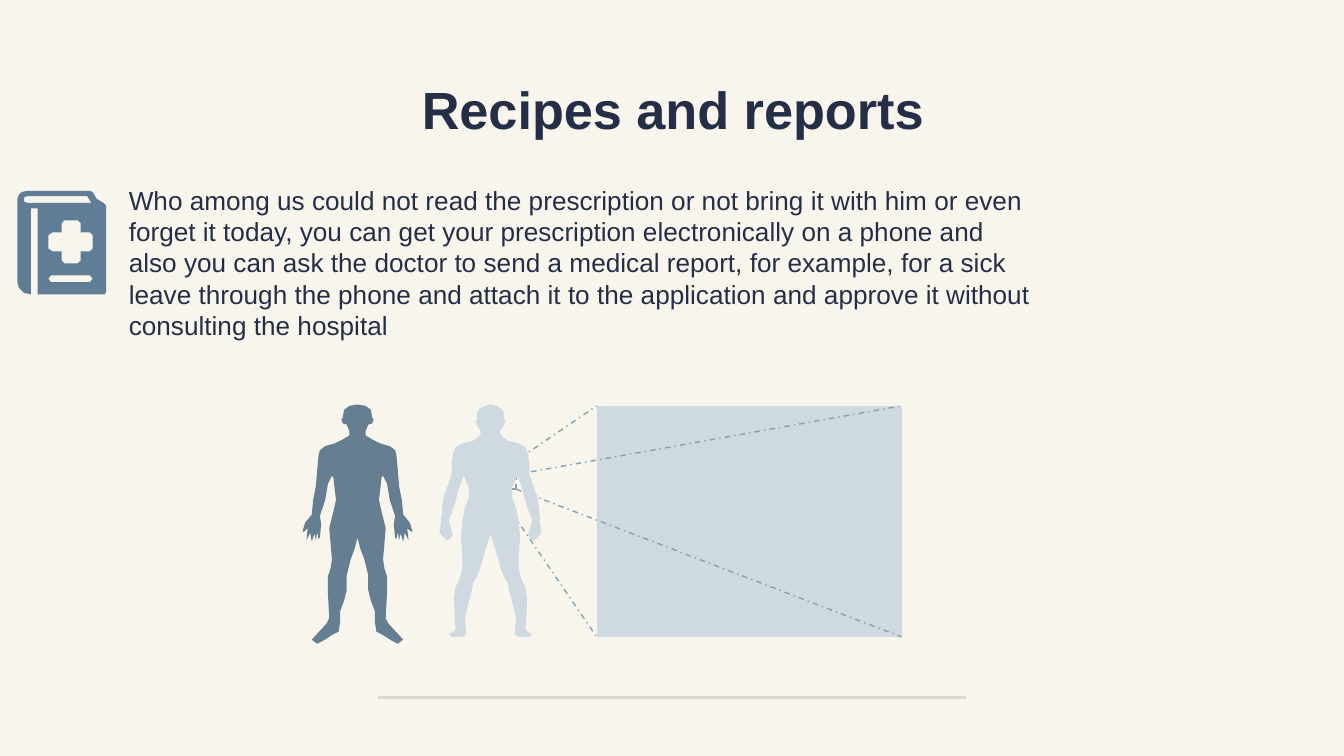
from dataclasses import dataclass

import pptx
import pptx.dml.color
import pptx.enum.dml
import pptx.enum.shapes
import pptx.enum.text
import pptx.oxml.ns
import pptx.shapes.autoshape
import pptx.slide
import pptx.text.text
import pptx.util
from lxml import etree

RGBColor = pptx.dml.color.RGBColor
Inches = pptx.util.Inches
Dash = pptx.enum.dml.MSO_LINE

CREAM = RGBColor(0xF8, 0xF5, 0xEC)
SAND = RGBColor(0xDA, 0xDA, 0xCE)
NAVY = RGBColor(0x25, 0x2E, 0x47)
PALE_BLUE = RGBColor(0xCF, 0xD9, 0xE0)
LINE_BLUE = RGBColor(0x86, 0x9F, 0xB1)
SLATE = RGBColor(0x66, 0x7E, 0x92)
BOOK_BLUE = RGBColor(0x5F, 0x7D, 0x95)

SLIDE_WIDTH = Inches(10)
SLIDE_HEIGHT = SLIDE_WIDTH * 9 // 16
FONT = "Arial"
TITLE = "Recipes and reports"
BODY = (
    "Who among us could not read the prescription or not bring it with him or even "
    "forget it today, you can get your prescription electronically on a phone and "
    "also you can ask the doctor to send a medical report, for example, for a sick "
    "leave through the phone and attach it to the application and approve it without "
    "consulting the hospital"
)

Point = tuple[float, float]
Contour = list[Point]


@dataclass(frozen=True)
class Rule:
    start: Point
    end: Point
    color: RGBColor = LINE_BLUE
    width: float = 0.75
    dash: Dash | None = Dash.DASH_DOT


@dataclass(frozen=True)
class Figure:
    center: float
    color: RGBColor
    left_half: Contour


def rectangle(left: float, top: float, right: float, bottom: float) -> Contour:
    return [(left, top), (right, top), (right, bottom), (left, bottom)]


def rounded_bar(left: float, top: float, right: float, bottom: float) -> Contour:
    middle = (top + bottom) / 2
    inset = 0.02
    return [
        (left + inset, top), (right - inset, top), (right, middle),
        (right - inset, bottom), (left + inset, bottom), (left, middle),
    ]


FOCUS = rectangle(3.69, 3.53, 3.84, 3.64)
PANEL = rectangle(4.44, 3.02, 6.71, 4.74)
FOCUS_SIDES = [
    Rule(start, end, dash=Dash.DASH) for start, end in zip(FOCUS, FOCUS[1:] + FOCUS[:1])
]
RAYS = [Rule(start, end) for start, end in zip(FOCUS, PANEL)]
FOOTER = Rule((2.81, 5.19), (7.19, 5.19), SAND, 1.5, None)

LIGHT_FIGURE = Figure(3.65, PALE_BLUE, [
    (3.65, 3.01), (3.61, 3.02), (3.57, 3.04), (3.55, 3.07), (3.55, 3.12),
    (3.54, 3.13), (3.55, 3.16), (3.56, 3.19), (3.57, 3.19), (3.58, 3.22),
    (3.56, 3.25), (3.52, 3.28), (3.44, 3.30), (3.39, 3.33), (3.37, 3.38),
    (3.36, 3.46), (3.36, 3.53), (3.33, 3.62), (3.30, 3.70), (3.29, 3.78),
    (3.28, 3.90), (3.27, 3.96), (3.30, 4.00), (3.33, 4.02), (3.35, 4.01),
    (3.37, 3.98), (3.36, 3.95), (3.35, 3.91), (3.34, 3.87), (3.36, 3.82),
    (3.39, 3.73), (3.42, 3.62), (3.45, 3.54), (3.49, 3.63), (3.49, 3.70),
    (3.46, 3.78), (3.44, 3.88), (3.43, 4.00), (3.44, 4.13), (3.44, 4.23),
    (3.42, 4.31), (3.39, 4.37), (3.38, 4.44), (3.38, 4.52), (3.39, 4.68),
    (3.38, 4.70), (3.34, 4.72), (3.36, 4.74), (3.44, 4.74), (3.47, 4.72),
    (3.46, 4.60), (3.48, 4.51), (3.51, 4.40), (3.52, 4.34), (3.54, 4.31),
    (3.57, 4.24), (3.61, 4.10), (3.65, 3.97),
])
DARK_FIGURE = Figure(2.66, SLATE, [
    (2.66, 3.01), (2.60, 3.02), (2.56, 3.05), (2.55, 3.11), (2.54, 3.12),
    (2.55, 3.15), (2.58, 3.16), (2.60, 3.21), (2.60, 3.24), (2.55, 3.27),
    (2.49, 3.30), (2.42, 3.32), (2.38, 3.35), (2.37, 3.39), (2.36, 3.50),
    (2.35, 3.62), (2.33, 3.72), (2.32, 3.83), (2.27, 3.89), (2.25, 3.96),
    (2.27, 3.95), (2.29, 3.93), (2.28, 4.02), (2.31, 3.96), (2.31, 3.98),
    (2.32, 4.03), (2.34, 3.97), (2.35, 4.02), (2.36, 3.96), (2.37, 4.01),
    (2.38, 4.00), (2.39, 3.90), (2.38, 3.84), (2.42, 3.72), (2.44, 3.60),
    (2.47, 3.54), (2.48, 3.55), (2.50, 3.72), (2.48, 3.81), (2.45, 3.93),
    (2.46, 4.05), (2.47, 4.16), (2.46, 4.23), (2.44, 4.29), (2.44, 4.41),
    (2.45, 4.60), (2.43, 4.64), (2.32, 4.76), (2.36, 4.79), (2.40, 4.77),
    (2.48, 4.72), (2.52, 4.70), (2.53, 4.63), (2.53, 4.55), (2.56, 4.47),
    (2.58, 4.39), (2.58, 4.28), (2.61, 4.16), (2.64, 4.08), (2.66, 4.00),
])

COVER = [
    (0.20, 1.42), (0.16, 1.43), (0.14, 1.45), (0.13, 1.48), (0.13, 2.10),
    (0.14, 2.14), (0.18, 2.18), (0.23, 2.19), (0.23, 1.55), (0.28, 1.55),
    (0.28, 2.19), (0.78, 2.19), (0.79, 2.17), (0.79, 1.53), (0.77, 1.51),
    (0.72, 1.48), (0.69, 1.43), (0.67, 1.42),
]
PAGES = [
    (0.65, 1.46), (0.68, 1.51), (0.20, 1.51), (0.18, 1.50), (0.18, 1.47), (0.20, 1.46),
]
CROSS = [
    (0.48, 1.64), (0.58, 1.64), (0.60, 1.66), (0.60, 1.73), (0.67, 1.73),
    (0.69, 1.75), (0.69, 1.85), (0.67, 1.87), (0.60, 1.87), (0.60, 1.94),
    (0.58, 1.96), (0.48, 1.96), (0.46, 1.94), (0.46, 1.87), (0.39, 1.87),
    (0.36, 1.85), (0.36, 1.75), (0.39, 1.73), (0.46, 1.73), (0.46, 1.66),
]
BOOK = [COVER, PAGES, CROSS, rounded_bar(0.36, 2.05, 0.69, 2.10)]


def draw_rule(slide: pptx.slide.Slide, rule: Rule) -> None:
    connector = slide.shapes.add_connector(
        pptx.enum.shapes.MSO_CONNECTOR.STRAIGHT,
        *map(Inches, (*rule.start, *rule.end)),
    )
    connector.line.color.rgb = rule.color
    connector.line.width = pptx.util.Pt(rule.width)
    if rule.dash is not None:
        connector.line.dash_style = rule.dash
    properties = connector._element.spPr
    etree.SubElement(properties, pptx.oxml.ns.qn("a:effectLst"))


def style_fill(shape: pptx.shapes.autoshape.Shape, color: RGBColor) -> None:
    shape.shadow.inherit = False
    shape.fill.solid()
    shape.fill.fore_color.rgb = color
    shape.line.fill.background()


def draw_outline(slide: pptx.slide.Slide, contours: list[Contour], color: RGBColor) -> None:
    scaled = [[(Inches(x), Inches(y)) for x, y in contour] for contour in contours]
    builder = slide.shapes.build_freeform(*scaled[0][0])
    builder.add_line_segments(scaled[0][1:], close=True)
    for contour in scaled[1:]:
        builder.move_to(*contour[0])
        builder.add_line_segments(contour[1:], close=True)
    style_fill(builder.convert_to_shape(), color)


def draw_figure(slide: pptx.slide.Slide, figure: Figure) -> None:
    right_half = [(2 * figure.center - x, y) for x, y in figure.left_half[-2:0:-1]]
    draw_outline(slide, [figure.left_half + right_half], figure.color)


def write_text(frame: pptx.text.text.TextFrame, text: str, size: float, bold: bool,
               alignment: pptx.enum.text.PP_ALIGN) -> None:
    frame.word_wrap = True
    frame.auto_size = pptx.enum.text.MSO_AUTO_SIZE.NONE
    paragraph = frame.paragraphs[0]
    paragraph.alignment = alignment
    run = paragraph.add_run()
    run.text = text
    run.font.name = FONT
    run.font.size = pptx.util.Pt(size)
    run.font.bold = bold
    run.font.color.rgb = NAVY


def main() -> None:
    presentation = pptx.Presentation()
    presentation.slide_width = SLIDE_WIDTH
    presentation.slide_height = SLIDE_HEIGHT
    slide = presentation.slides.add_slide(presentation.slide_layouts[5])
    slide.background.fill.solid()
    slide.background.fill.fore_color.rgb = CREAM

    draw_rule(slide, FOOTER)
    title = slide.shapes.title
    title.left, title.top, title.width, title.height = map(Inches, (0.79, 0.49, 8.43, 0.63))
    title.text_frame.vertical_anchor = pptx.enum.text.MSO_ANCHOR.MIDDLE
    write_text(title.text_frame, TITLE, 28, True, pptx.enum.text.PP_ALIGN.CENTER)
    body = slide.shapes.add_textbox(*map(Inches, (0.86, 1.32, 6.92, 1.28)))
    write_text(body.text_frame, BODY, 14, False, pptx.enum.text.PP_ALIGN.LEFT)

    for side in FOCUS_SIDES:
        draw_rule(slide, side)
    draw_outline(slide, [PANEL], PALE_BLUE)
    for ray in RAYS:
        draw_rule(slide, ray)
    for figure in (LIGHT_FIGURE, DARK_FIGURE):
        draw_figure(slide, figure)
    draw_outline(slide, BOOK, BOOK_BLUE)
    presentation.save("out.pptx")


if __name__ == "__main__":
    main()
